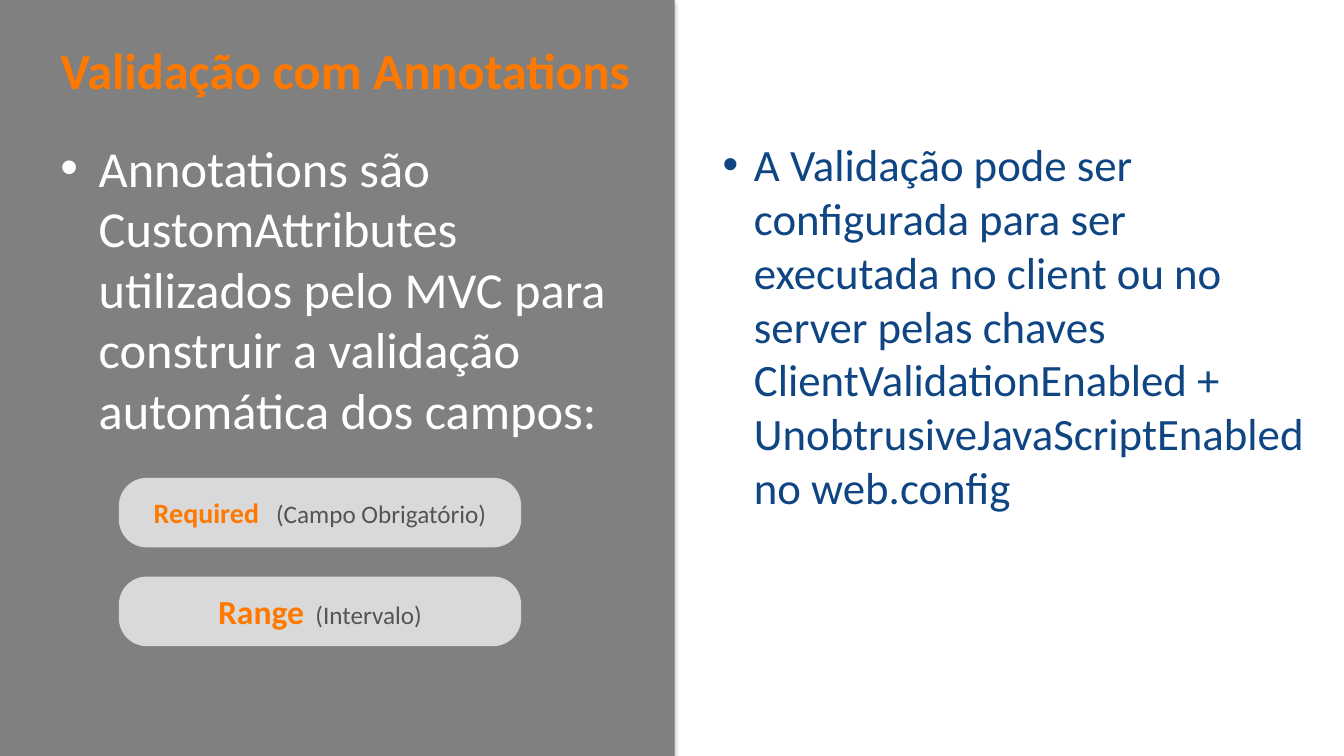
from dataclasses import dataclass

from lxml import etree
from pptx import Presentation
from pptx import util as u
from pptx.dml.color import RGBColor
from pptx.enum import shapes, text
from pptx.oxml import ns

WIDTH, HEIGHT = u.Inches(13.33), u.Inches(7.5)


@dataclass(frozen=True)
class Theme:
    """Font, colours and type sizes of the slide."""
    font: str = "Calibri"
    panel: str = "808080"
    pill: str = "D9D9D9"
    accent: str = "FF7900"
    light: str = "FFFFFF"
    blue: str = "0E4582"
    muted: str = "525456"
    large: int = 36
    body: int = 32
    note: int = 18


THEME = Theme()


def place(left, top, width, height):
    """Turn percentages of the slide into a position and size."""
    return (int(WIDTH * left / 100), int(HEIGHT * top / 100),
            int(WIDTH * width / 100), int(HEIGHT * height / 100))


def add_run(p, words, size, color, bold=False):
    """Append one styled run to a paragraph."""
    r = p.add_run()
    r.text = words
    r.font.name, r.font.size, r.font.bold = THEME.font, u.Pt(size), bold
    r.font.color.rgb = RGBColor.from_string(color)
    return r


def add_block(slide, box, fill, kind):
    """Add a flat borderless shape."""
    sp = slide.shapes.add_shape(kind, *place(*box))
    sp.shadow.inherit = False
    sp.fill.solid()
    sp.fill.fore_color.rgb = RGBColor.from_string(fill)
    sp.line.fill.background()
    return sp


def add_panel(slide, box):
    """Add the grey side panel with its soft shadow."""
    sp = add_block(slide, box, THEME.panel, shapes.MSO_SHAPE.RECTANGLE)
    effects = sp.element.spPr.find(ns.qn("a:effectLst"))
    shadow = etree.SubElement(effects, ns.qn("a:outerShdw"), blurRad=str(u.Pt(3.1)),
                              dist=str(u.Pt(1.8)), dir="5400000", rotWithShape="0")
    color = etree.SubElement(shadow, ns.qn("a:srgbClr"), val="000000")
    etree.SubElement(color, ns.qn("a:alpha"), val="35000")


def add_text(slide, box):
    """Add a wrapping text box and return its frame."""
    tf = slide.shapes.add_textbox(*place(*box)).text_frame
    tf.word_wrap = True
    return tf


def add_title(slide, box, words):
    """Add the slide heading."""
    tf = add_text(slide, box)
    tf.vertical_anchor = text.MSO_ANCHOR.MIDDLE
    p = tf.paragraphs[0]
    p.line_spacing = 0.8
    add_run(p, words, THEME.large, THEME.accent, bold=True)


def add_bullet(slide, box, words, size, color, indent):
    """Add a text box holding one bulleted paragraph."""
    p = add_text(slide, box).paragraphs[0]
    pPr = p._p.get_or_add_pPr()
    pPr.set("marL", str(u.Inches(indent)))
    pPr.set("indent", str(-u.Inches(indent)))
    etree.SubElement(pPr, ns.qn("a:buFont"), typeface="Arial")
    etree.SubElement(pPr, ns.qn("a:buChar"), char="•")
    add_run(p, words, size, color)


def add_pill(slide, box, name, size, gap, note):
    """Add a rounded label with an annotation name and its note."""
    sp = add_block(slide, box, THEME.pill, shapes.MSO_SHAPE.ROUNDED_RECTANGLE)
    sp.adjustments[0] = 0.4
    tf = sp.text_frame
    tf.vertical_anchor = text.MSO_ANCHOR.MIDDLE
    p = tf.paragraphs[0]
    p.alignment = text.PP_ALIGN.CENTER
    add_run(p, name, size, THEME.accent, bold=True)
    space = add_run(p, " ", THEME.note, THEME.accent, bold=True)
    space._r.get_or_add_rPr().set("spc", str(gap * 100))
    add_run(p, note, THEME.note, THEME.muted)


def main():
    """Build and save the slide."""
    prs = Presentation()
    prs.slide_width, prs.slide_height = WIDTH, HEIGHT
    slide = prs.slides.add_slide(prs.slide_layouts[6])
    margin, body_top = 3.75, 17.47

    add_panel(slide, (0, 0, 50.2, 100))
    add_title(slide, (margin, 2.27, 45.1, 15.2), "Validação com Annotations")
    add_bullet(slide, (53.04, body_top, 45.1, 58.8),
               "A Validação pode ser configurada para ser executada no client ou no "
               "server pelas chaves ClientValidationEnabled + "
               "UnobtrusiveJavaScriptEnabled no web.config",
               THEME.body, THEME.blue, 0.31)
    add_bullet(slide, (margin, body_top, 43.13, 41.87),
               "Annotations são CustomAttributes utilizados pelo MVC para construir "
               "a validação automática dos campos:",
               THEME.large, THEME.light, 0.38)

    pills = [("Required", 20, 8, "(Campo Obrigatório)"),
             ("Range", 24, 4, "(Intervalo)")]
    for row, pill in enumerate(pills):
        add_pill(slide, (8.85, 63.2 + 13.07 * row, 29.93, 9.2), *pill)

    prs.save("out.pptx")


if __name__ == "__main__":
    main()
